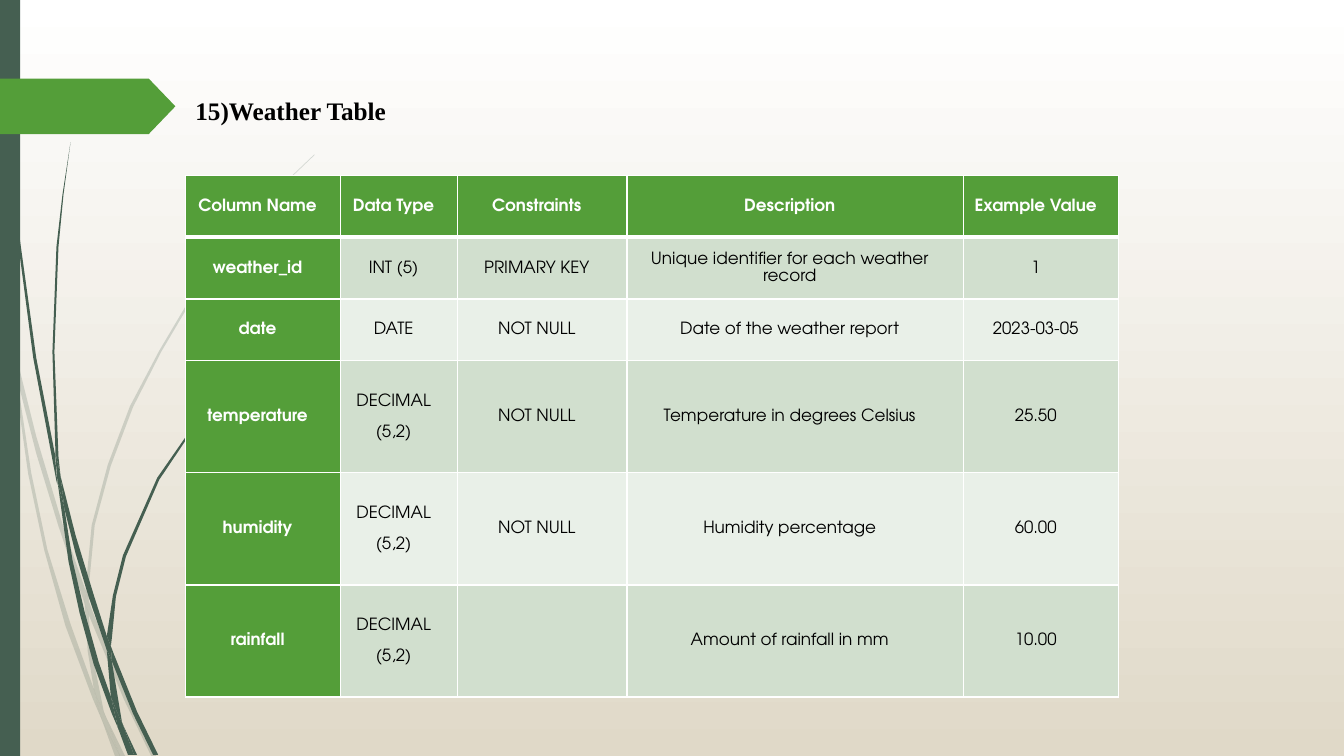
import lxml.etree
import pptx
import pptx.dml.color
import pptx.enum.shapes
import pptx.enum.text
import pptx.oxml.ns
import pptx.util

RGB = pptx.dml.color.RGBColor
WHITE = RGB(0xFF, 0xFF, 0xFF)
BLACK = RGB(0, 0, 0)
SAND = RGB(0xE0, 0xD9, 0xC8)
PINE = RGB(0x45, 0x5F, 0x51)
GREEN = RGB(0x54, 0x9E, 0x39)
BANDS = [RGB(0xD1, 0xDF, 0xCE), RGB(0xE9, 0xF0, 0xE8)]

# The slide is a grid of 133.33 columns by 75 rows.
COLS, ROWS = 133.33, 75
UNIT = pptx.util.Inches(0.1)
SERIF, SANS = "Times New Roman", "TeX Gyre Adventor"
SHAPE = pptx.enum.shapes.MSO_SHAPE
ALIGN = pptx.enum.text.PP_ALIGN

# Each blade of grass is an outline of (column, row) corners.
PALE = [
    [(1.1, 35), (0.9, 32.2), (0, 28.2), (0, 29.9), (1, 34.4)],
    [(5.8, 52.2), (8.4, 59.9), (8.5, 58.6), (6.2, 52), (3.6, 43.3),
     (1.4, 34.5), (1.7, 37.6), (3.6, 45)],
    [(9.2, 60.7), (8.8, 59.6), (8.8, 61), (12.3, 69.4), (15, 75),
     (15.5, 75), (12.7, 69.2)],
    [(11.9, 75), (12.4, 75), (10.5, 71.1)],
    [(9.3, 68.3), (7, 61.9), (4.7, 54.5), (3.1, 46.9), (1.7, 37.6),
     (1.1, 35), (2.8, 47), (4.4, 54.6), (6.5, 62.1), (9.2, 69.3),
     (10.1, 71.4), (9.9, 70.7)],
    [(8.4, 59.9), (8.7, 64.6), (9.3, 68.3), (9.6, 69.2), (10.5, 71.1),
     (10.3, 70.6), (9.1, 64.6), (8.8, 61), (8.8, 60.8)],
    [(8.8, 58.4), (9.4, 52.1), (11, 46.2), (13.2, 40.4), (16, 34.9),
     (19.2, 29.5), (22.9, 24.5), (26.8, 19.8), (29, 17.5), (31.2, 15.4),
     (31.2, 15.3), (28.9, 17.5), (26.8, 19.7), (22.8, 24.4), (19, 29.4),
     (15.8, 34.8), (12.9, 40.3), (10.7, 46.1), (9.1, 52.1), (8.5, 58.4),
     (8.5, 58.6), (8.8, 59.6)],
    [(10.1, 71.4), (11.4, 75), (11.9, 75)],
    [(8.8, 60.8), (8.8, 61), (8.8, 59.6), (8.5, 58.6), (8.4, 59.9)],
    [(9.6, 69.2), (9.3, 68.3), (9.9, 70.7), (10.1, 71.4), (11.9, 75),
     (10.5, 71.1)],
]
DARK = [
    [(0.7, 11), (1.7, 23.3), (3.3, 35.5), (5.6, 47.7), (5.7, 48.1),
     (5.5, 45.7), (5.5, 45.3), (3.6, 35.5), (1.9, 23.2), (0.8, 10.9),
     (0.5, 4.8), (0.4, 0), (0.3, 0), (0.4, 4.8)],
    [(8.8, 59.2), (10.6, 64.5), (10.6, 63.1), (9.3, 59), (7.5, 53.1),
     (6, 47.2), (6.4, 50.5), (7.5, 54.9)],
    [(11.3, 64.9), (11, 64.1), (11.1, 65.6), (13.2, 70.8), (15.2, 74.9),
     (15.7, 74.9), (13.6, 70.6)],
    [(11, 69.1), (9.8, 65.7), (8.4, 60.7), (7.2, 55.6), (6.4, 50.5),
     (5.7, 47.7), (6.8, 55.7), (7.9, 60.8), (9.3, 65.9), (11.1, 70.8),
     (11.7, 72.2), (11.6, 71.7)],
    [(6, 47.2), (5.8, 45.3), (5.4, 34.9), (5.8, 24.5), (6.3, 19.3),
     (7, 14.1), (6.2, 19.3), (5.6, 24.5), (5.2, 34.9), (5.5, 44.9)],
    [(13.3, 74.9), (13.6, 74.9), (12.2, 71.9)],
    [(5.7, 47.7), (6.4, 50.5), (6, 47.2), (5.5, 44.9), (5.5, 45.3)],
    [(11.1, 63.3), (11.5, 59.2), (12.5, 55.2), (15.8, 47.6), (20.5, 40.6),
     (23.1, 37.4), (24.5, 35.9), (26.1, 34.4), (26, 34.4), (24.5, 35.8),
     (23.1, 37.3), (20.4, 40.5), (15.6, 47.4), (12.2, 55.1), (11.2, 59.1),
     (10.6, 63.1), (11, 64.1)],
    [(11.7, 72.2), (12.7, 74.9), (13.1, 74.9)],
    [(10.6, 64.5), (11, 69.1), (11.6, 70.6), (12.2, 71.9), (12.1, 71.6),
     (11.1, 65.6), (10.9, 65.1)],
    [(10.6, 64.5), (10.9, 65.1), (11.1, 65.6), (11, 64.1), (10.6, 63.1)],
    [(11.6, 70.6), (11, 69.1), (11.6, 71.7), (11.7, 72.2), (13, 74.9),
     (13.3, 74.9), (12.2, 71.9)],
]

COL_SPANS = [15.4, 11.6, 16.8, 33.4, 15.4]
ROW_SPANS = [6.13] * 3 + [11.12] * 3
FIELDS = [
    ["Column Name", "Data Type", "Constraints", "Description", "Example Value"],
    ["weather_id", "INT (5)", "PRIMARY KEY",
     "Unique identifier for each weather record", "1"],
    ["date", "DATE", "NOT NULL", "Date of the weather report", "2023-03-05"],
    ["temperature", "DECIMAL\n(5,2)", "NOT NULL",
     "Temperature in degrees Celsius", "25.50"],
    ["humidity", "DECIMAL\n(5,2)", "NOT NULL", "Humidity percentage", "60.00"],
    ["rainfall", "DECIMAL\n(5,2)", "", "Amount of rainfall in mm", "10.00"],
]


def grid(*spans):
    return [round(span * UNIT) for span in spans]


def node(parent, tag, **attrs):
    child = lxml.etree.SubElement(parent, pptx.oxml.ns.qn(tag))
    for key, value in attrs.items():
        child.set(key, str(value))
    return child


def write(frame, text, *, font, size, color, bold=False, align=ALIGN.CENTER):
    """Put each line of text in a paragraph of its own."""
    for i, line in enumerate(text.split("\n")):
        para = frame.paragraphs[0] if i == 0 else frame.add_paragraph()
        para.alignment = align
        para.line_spacing = 1.05
        para.space_after = pptx.util.Pt(10.1)
        run = para.add_run()
        run.text = line
        run.font.name = font
        run.font.size = pptx.util.Pt(size)
        run.font.bold = bold
        run.font.color.rgb = color


def paint(shape, color, alpha=100):
    shape.shadow.inherit = False
    shape.fill.solid()
    shape.fill.fore_color.rgb = color
    shape.line.fill.background()
    if alpha < 100:
        tone = shape.fill._xPr.find(".//" + pptx.oxml.ns.qn("a:srgbClr"))
        node(tone, "a:alpha", val=alpha * 1000)


def blade(slide, corners, color, alpha):
    edge = [grid(*corner) for corner in corners]
    maker = slide.shapes.build_freeform(*edge[0])
    maker.add_line_segments(edge[1:], close=True)
    paint(maker.convert_to_shape(), color, alpha)


def block(slide, kind, box, color):
    shape = slide.shapes.add_shape(kind, *grid(*box))
    paint(shape, color)
    return shape


def border(cell, **widths):
    """Draw white cell edges; keys are L, R, T, B and widths are points."""
    props = cell._tc.get_or_add_tcPr()
    for i, (side, width) in enumerate(widths.items()):
        line = node(props, "a:ln" + side, w=pptx.util.Pt(width))
        node(node(line, "a:solidFill"), "a:srgbClr", val=WHITE)
        props.insert(i, line)


def table(slide, box):
    frame = slide.shapes.add_table(len(FIELDS), len(COL_SPANS), *grid(*box))
    for col, span in zip(frame.table.columns, grid(*COL_SPANS)):
        col.width = span
    for row, span in zip(frame.table.rows, grid(*ROW_SPANS)):
        row.height = span
    for r, texts in enumerate(FIELDS):
        for c, text in enumerate(texts):
            cell = frame.table.cell(r, c)
            head = r == 0 or c == 0
            cell.fill.solid()
            cell.fill.fore_color.rgb = GREEN if head else BANDS[(r - 1) % 2]
            border(cell, L=1, R=1, T=3 if r == 1 else 1, B=3 if r == 0 else 1)
            cell.vertical_anchor = pptx.enum.text.MSO_ANCHOR.MIDDLE
            inset = pptx.util.Inches(0.01)
            cell.margin_left = cell.margin_top = cell.margin_bottom = inset
            cell.margin_right = pptx.util.Inches(0.12)
            if text:
                write(cell.text_frame, text, font=SANS, size=12, bold=head,
                      color=WHITE if head else BLACK)


def title(slide, text, box):
    frame = slide.shapes.add_textbox(*grid(*box)).text_frame
    frame.word_wrap = True
    frame.auto_size = pptx.enum.text.MSO_AUTO_SIZE.SHAPE_TO_FIT_TEXT
    write(frame, text, font=SERIF, size=18, color=BLACK, bold=True,
          align=ALIGN.JUSTIFY)


def ground(slide):
    fill = slide.background.fill
    fill.gradient()
    fill.gradient_angle = 270
    for stop, color in zip(fill.gradient_stops, [WHITE, SAND]):
        stop.color.rgb = color


def main():
    deck = pptx.Presentation()
    deck.slide_width, deck.slide_height = grid(COLS, ROWS)
    slide = deck.slides.add_slide(deck.slide_layouts[6])
    ground(slide)
    for blades, alpha in [(PALE, 20), (DARK, 100)]:
        for corners in blades:
            blade(slide, corners, PINE, alpha)
    block(slide, SHAPE.RECTANGLE, (0, 0, 2, ROWS), PINE)
    arrow = block(slide, SHAPE.PENTAGON, (0, 7.8, 17.4, 5.5), GREEN)
    arrow.adjustments[0] = 0.48
    title(slide, "15)Weather Table", (18.4, 8.8, 66.7, 4))
    table(slide, (18.4, 17.4, sum(COL_SPANS), sum(ROW_SPANS)))
    deck.save("out.pptx")


if __name__ == "__main__":
    main()
